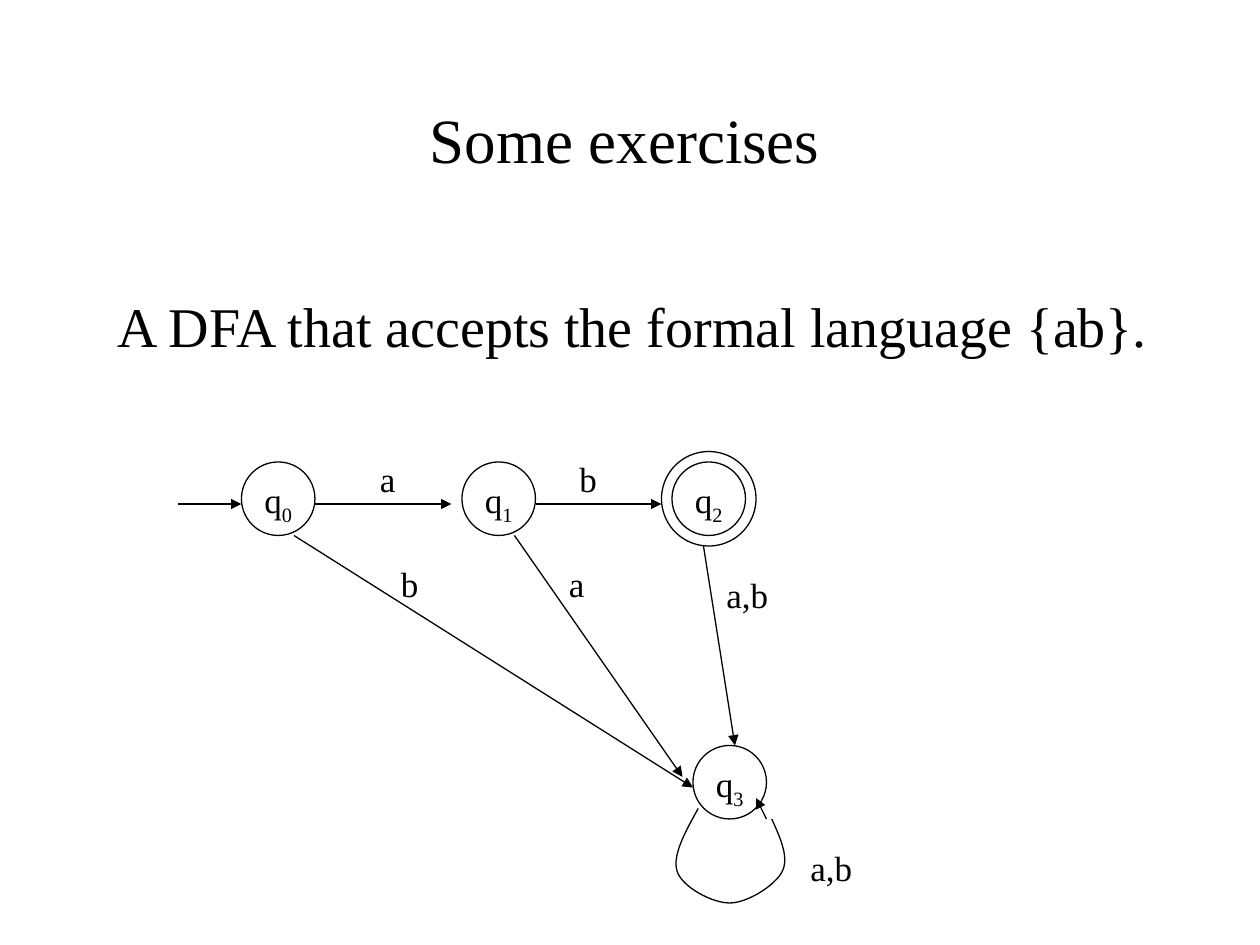
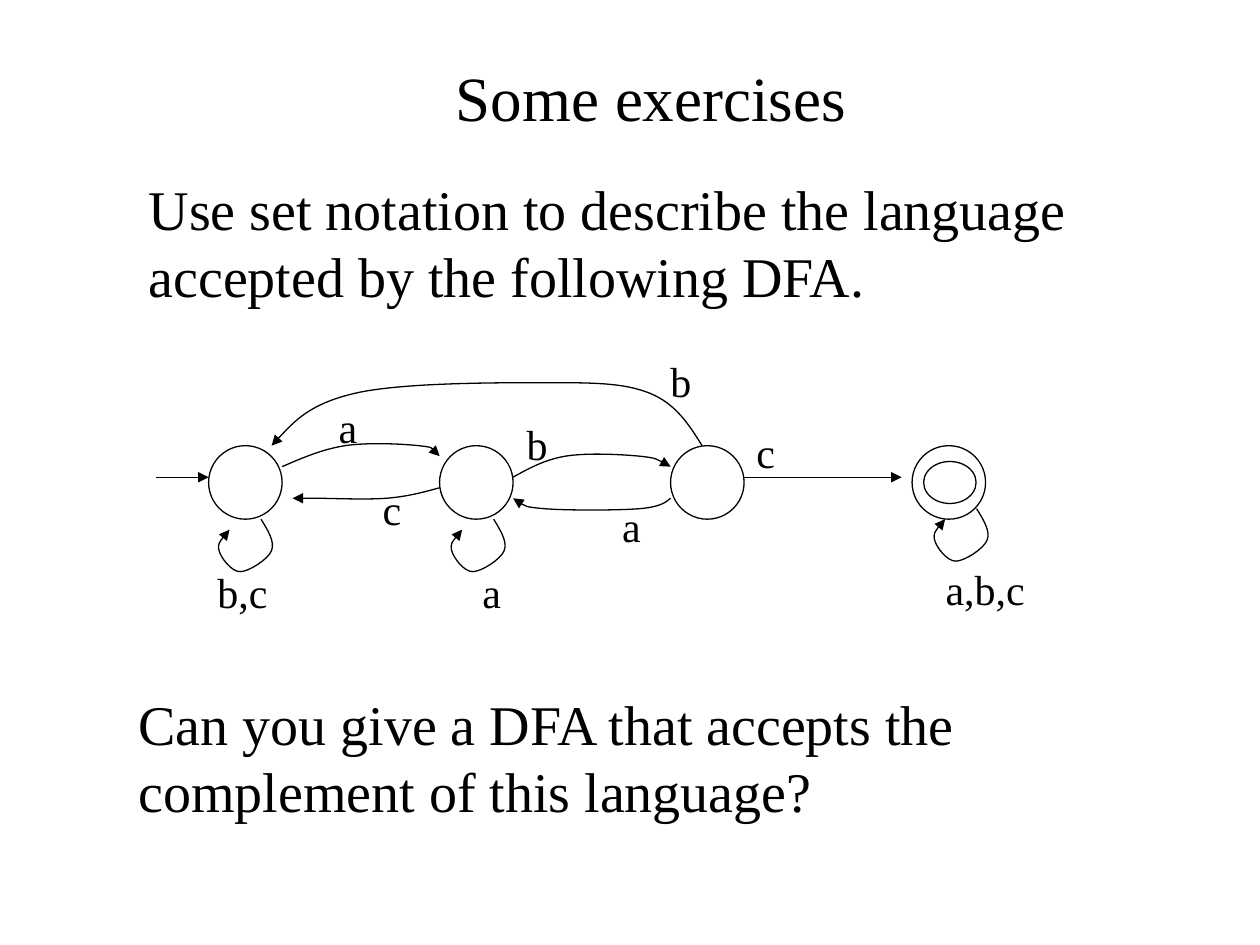
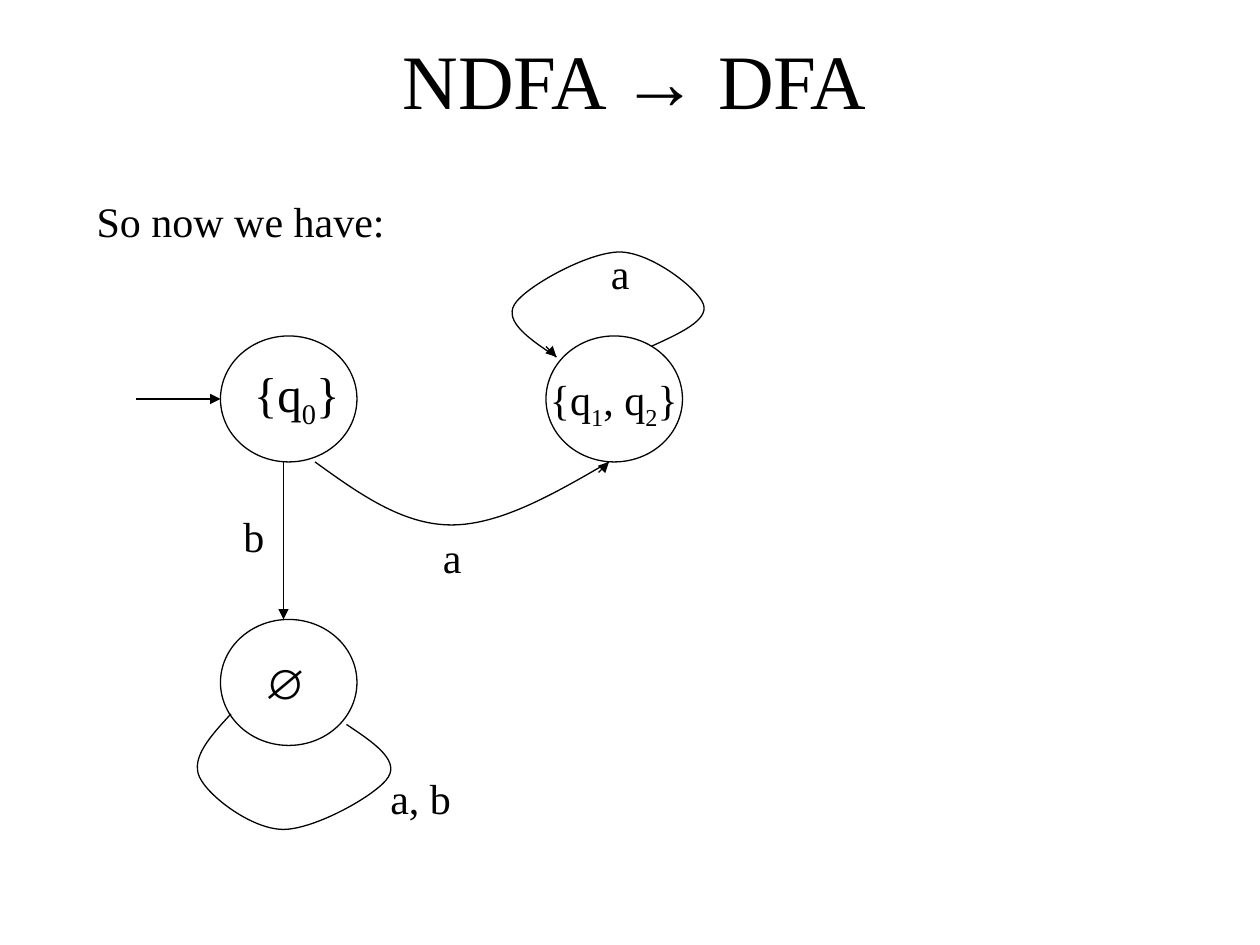
from pptx import Presentation, util as u
from pptx.dml.color import RGBColor
from pptx.enum import shapes as sh, text as tx
from lxml import etree
from pptx.oxml.ns import qn

CELL = u.Inches(1) // 12  # the slide is a grid of 120 columns by 90 rows
INK = "000000"
SERIF, SANS = "Times New Roman", "Arial"


def color(code):
    return RGBColor.from_string(code)


def grid(*cells):
    return [round(c * CELL) for c in cells]


def add_run(par, words, size, face=SERIF, bold=False, sub=False):
    run = par.add_run()
    run.text = words
    font = run.font
    font.size, font.name, font.bold = u.Pt(size), face, bold
    font.color.rgb = color(INK)
    if sub:
        run._r.get_or_add_rPr().set("baseline", "-25000")


def add_runs(par, words, size, face=SERIF, bold=False):
    """Write words; the character after each underscore is a subscript."""
    first, *rest = words.split("_")
    if first:
        add_run(par, first, size, face, bold)
    for part in rest:
        add_run(par, part[0], size, face, bold, sub=True)
        if part[1:]:
            add_run(par, part[1:], size, face, bold)


def set_frame(shape, anchor):
    frame = shape.text_frame
    frame.word_wrap = True
    frame.auto_size = tx.MSO_AUTO_SIZE.NONE
    frame.vertical_anchor = anchor
    frame.margin_left = frame.margin_right = u.Inches(0.1)
    frame.margin_top = frame.margin_bottom = u.Inches(0.05)
    return frame


def place(shape, box):
    shape.left, shape.top, shape.width, shape.height = grid(*box)


def set_title(slide, box, parts, size, anchor=tx.MSO_ANCHOR.TOP):
    place(slide.shapes.title, box)
    par = set_frame(slide.shapes.title, anchor).paragraphs[0]
    par.alignment = tx.PP_ALIGN.CENTER
    for words, face in parts:
        add_run(par, words, size, face)


def set_lines(shape, box, lines, size, anchor=tx.MSO_ANCHOR.TOP):
    """Fill a body placeholder or text box with plain lines, without bullets."""
    place(shape, box)
    frame = set_frame(shape, anchor)
    for i, words in enumerate(lines):
        par = frame.add_paragraph() if i else frame.paragraphs[0]
        props = par._p.get_or_add_pPr()
        props.set("marL", "0")
        props.set("indent", "0")
        etree.SubElement(props, qn("a:buNone"))
        par.space_before = u.Pt(0)
        add_run(par, words, size)


def style_line(shape, arrow=False):
    shape.line.color.rgb = color(INK)
    shape.line.width = u.Pt(0.75)
    if arrow:
        etree.SubElement(shape.line._get_or_add_ln(), qn("a:tailEnd"), type="triangle")


def spline(knots):
    """Bezier points, three to a segment, of a smooth curve through all knots."""
    def middle(p, q):
        return tuple((a + b) / 2 for a, b in zip(p, q))

    def lean(i, sign):
        return tuple(k + sign * (b - a) / 6
                     for a, k, b in zip(knots[i - 1], knots[i], knots[i + 1]))

    last = len(knots) - 1
    points = [knots[0]]
    for i in range(last):
        start, end = knots[i], knots[i + 1]
        out = lean(i, 1) if i else None
        into = lean(i + 1, -1) if i + 1 < last else middle(out, end)
        points += [out or middle(start, into), into, end]
    return points


def bend(shape):
    """Turn each three straight steps of a freeform into one Bezier curve."""
    steps = list(shape._element.iter(qn("a:lnTo")))
    for i in range(0, len(steps), 3):
        arc = etree.Element(qn("a:cubicBezTo"))
        steps[i].addprevious(arc)
        for step in steps[i:i + 3]:
            arc.append(step[0])
            step.getparent().remove(step)


class Graph:
    """A state diagram whose parts are placed in cells from its own corner."""

    def __init__(self, slide, left, top, size):
        self.shapes, self.left, self.top, self.size = slide.shapes, left, top, size

    def at(self, x, y):
        return grid(self.left + x, self.top + y)

    def ring(self, x, y, wide=7, high=7):
        oval = self.shapes.add_shape(sh.MSO_SHAPE.OVAL, *self.at(x, y), *grid(wide, high))
        oval.shadow.inherit = False
        oval.fill.background()
        style_line(oval)

    def arrow(self, x1, y1, x2, y2):
        line = self.shapes.add_connector(sh.MSO_CONNECTOR.STRAIGHT,
                                         *self.at(x1, y1), *self.at(x2, y2))
        style_line(line, arrow=True)
        etree.SubElement(line._element.spPr, qn("a:effectLst"))

    def curve(self, *knots, arrow=False):
        first, *rest = [self.at(*p) for p in spline(knots)]
        maker = self.shapes.build_freeform(*first, scale=1.0)
        maker.add_line_segments(rest, close=False)
        arc = maker.convert_to_shape()
        bend(arc)
        arc.shadow.inherit = False
        arc.fill.background()
        style_line(arc, arrow)

    def label(self, words, x, y, wide=7, size=None, face=SERIF, bold=False):
        size = size or self.size
        high = size / 4 if "_" not in words else size / 4 + 0.75
        note = self.shapes.add_textbox(*self.at(x, y), *grid(wide, high))
        par = set_frame(note, tx.MSO_ANCHOR.TOP).paragraphs[0]
        add_runs(par, words, size, face, bold)


def accept_ab(slide):
    set_title(slide, (22, 9, 75, 8.4), [("Some exercises", SERIF)], 36)
    set_lines(slide.placeholders[1], (10, 27.1, 102, 7.7),
              ["A DFA that accepts the formal language {ab}."], 32, tx.MSO_ANCHOR.MIDDLE)
    graph = Graph(slide, 17, 43, 20)
    for i, (x, y) in enumerate([(6, 1), (27, 1), (47, 1), (49, 28)]):
        graph.ring(x, y)
        graph.label(f"q_{i}", x + 1, y + 1)
    graph.ring(46, 0, 9, 9)
    for ends in [(0, 5, 6, 5), (13, 5, 26, 5), (34, 5, 46, 5), (11, 8, 49, 32),
                 (32, 8, 48, 31), (50, 9, 53, 28), (56, 35, 55, 33)]:
        graph.arrow(*ends)
    graph.curve((49.5, 34), (47.5, 40), (52.5, 43), (57.5, 40), (56.5, 35))
    for words, x, y, wide in [("a", 18, 0, 4), ("b", 37, 0, 6), ("b", 20, 10, 4),
                              ("a", 36, 10, 4), ("a,b", 51, 11, 8), ("a,b", 59, 37, 7)]:
        graph.label(words, x, y, wide)


def describe_set(slide):
    set_title(slide, (33, 5, 58, 8.4), [("Some exercises", SERIF)], 36)
    set_lines(slide.placeholders[1], (12.95, 16, 91, 14),
              ["Use set notation to describe the language",
               "accepted by the following DFA."], 32)
    graph = Graph(slide, 14.87, 42.45, 24)
    for x in (5, 27, 49, 72):
        graph.ring(x, 0)
    graph.ring(73.1, 1.5, 5, 4)
    graph.arrow(0, 3, 5, 3)
    graph.arrow(56, 3, 71, 3)
    loop = [(10, 7), (11, 10), (8, 12), (6, 10), (7, 8)]
    loops = [[(x + dx, y + dy) for x, y in loop]
             for dx, dy in [(0, 0), (22.15, 0), (68.15, -1)]]
    for knots in [[(12, 2), (18, 0), (25, 0), (27, 1)],
                  [(27, 4), (22, 5), (15, 5), (13, 5)],
                  [(34, 3), (39, 1), (46, 1), (49, 2)],
                  [(49, 5), (46, 6), (37, 6), (34, 5)],
                  [(52, 0), (47, -5), (37, -6), (19, -5), (11, 0)], *loops]:
        graph.curve(*knots, arrow=True)
    for words, x, y in [("a", 16.2, -4.8), ("c", 20.4, 3.05), ("b,c", 4.65, 10.9),
                        ("a", 29.9, 10.9), ("a", 43.2, 4.6), ("b", 34.1, -3.2),
                        ("c", 56, -2.45), ("b", 47.8, -9.2), ("a,b,c", 74, 10.6)]:
        graph.label(words, x, y, 2.8 + 1.45 * len(words))
    set_lines(slide.shapes.add_textbox(0, 0, 0, 0), (12, 65.05, 83, 14),
              ["Can you give a DFA that accepts the", "complement of this language?"], 32)


def convert_ndfa(slide):
    set_title(slide, (5, 0, 110.9, 15), [("NDFA ", SERIF), ("→", SANS), (" DFA", SERIF)],
              44, tx.MSO_ANCHOR.MIDDLE)
    set_lines(slide.placeholders[1], (8, 18, 94, 6), ["So now we have:"], 24)
    graph = Graph(slide, 13, 24, 24)
    for x, y in [(8, 8), (39, 8), (8, 35)]:
        graph.ring(x, y, 13, 12)
    for ends in [(0, 14, 8, 14), (14, 20, 14, 35), (44, 21, 45, 20), (39, 9, 40, 10)]:
        graph.arrow(*ends)
    graph.curve((17, 20), (30, 26), (45, 20))
    graph.curve((49, 9), (54, 5), (46, 0), (36, 5), (40, 10))
    graph.curve((9, 44), (6, 50), (14, 55), (24, 50), (20, 45))
    graph.label("{q_0}", 10, 10, 14, 28)
    graph.label("{q_1, q_2}", 38.2, 11, 15)
    graph.label("∅", 11, 38, face=SANS, bold=True)
    for words, x, y, wide in [("a", 28, 26, 7), ("b", 9, 24, 7),
                              ("a", 44, -1, 7), ("a, b", 23, 49, 17)]:
        graph.label(words, x, y, wide)


def main():
    deck = Presentation()
    deck.slide_width, deck.slide_height = grid(120, 90)
    for fill in (accept_ab, describe_set, convert_ndfa):
        fill(deck.slides.add_slide(deck.slide_layouts[1]))
    deck.save("out.pptx")


if __name__ == "__main__":
    main()
